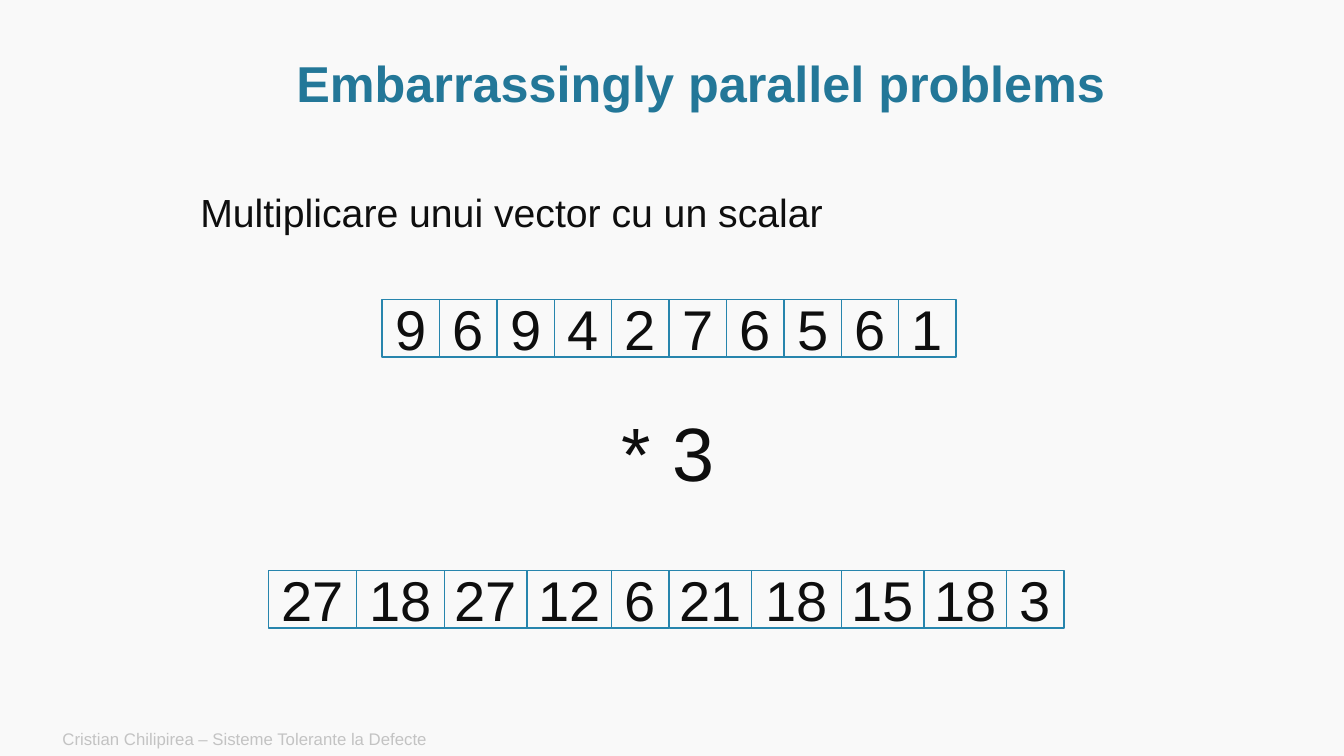
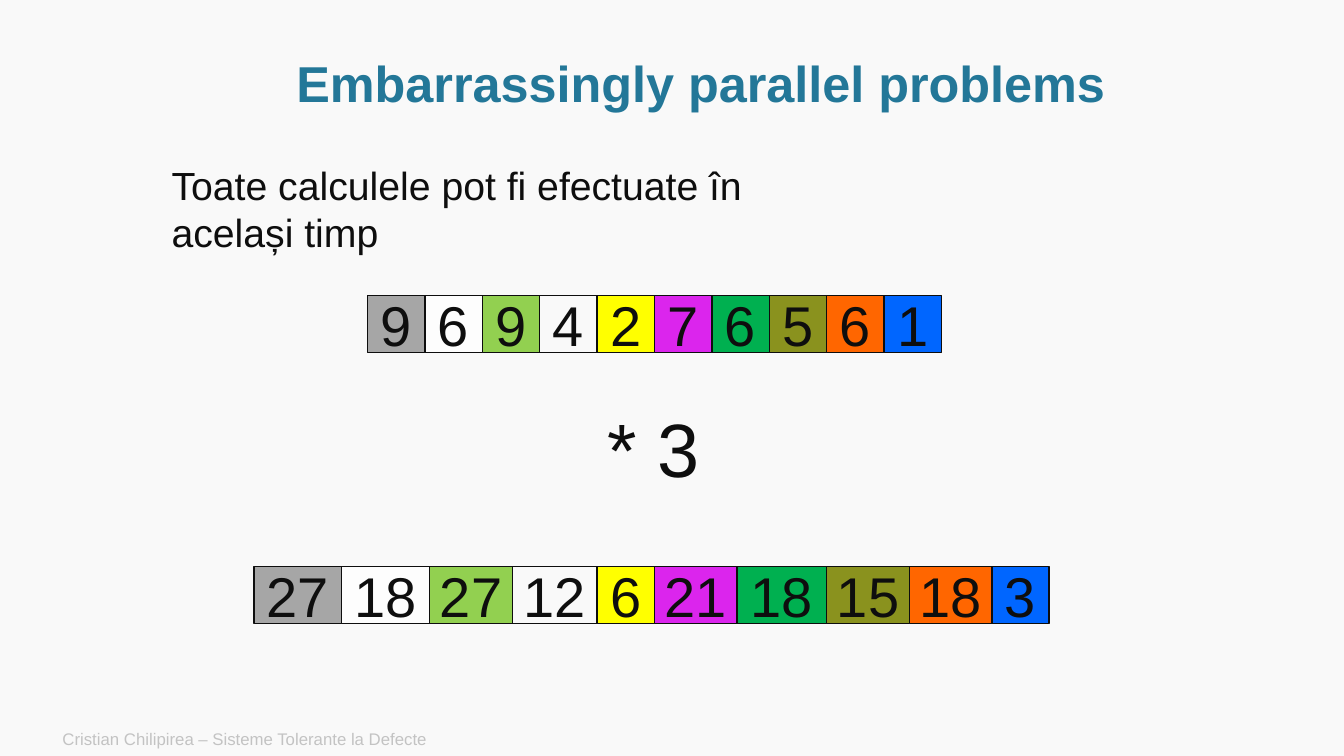
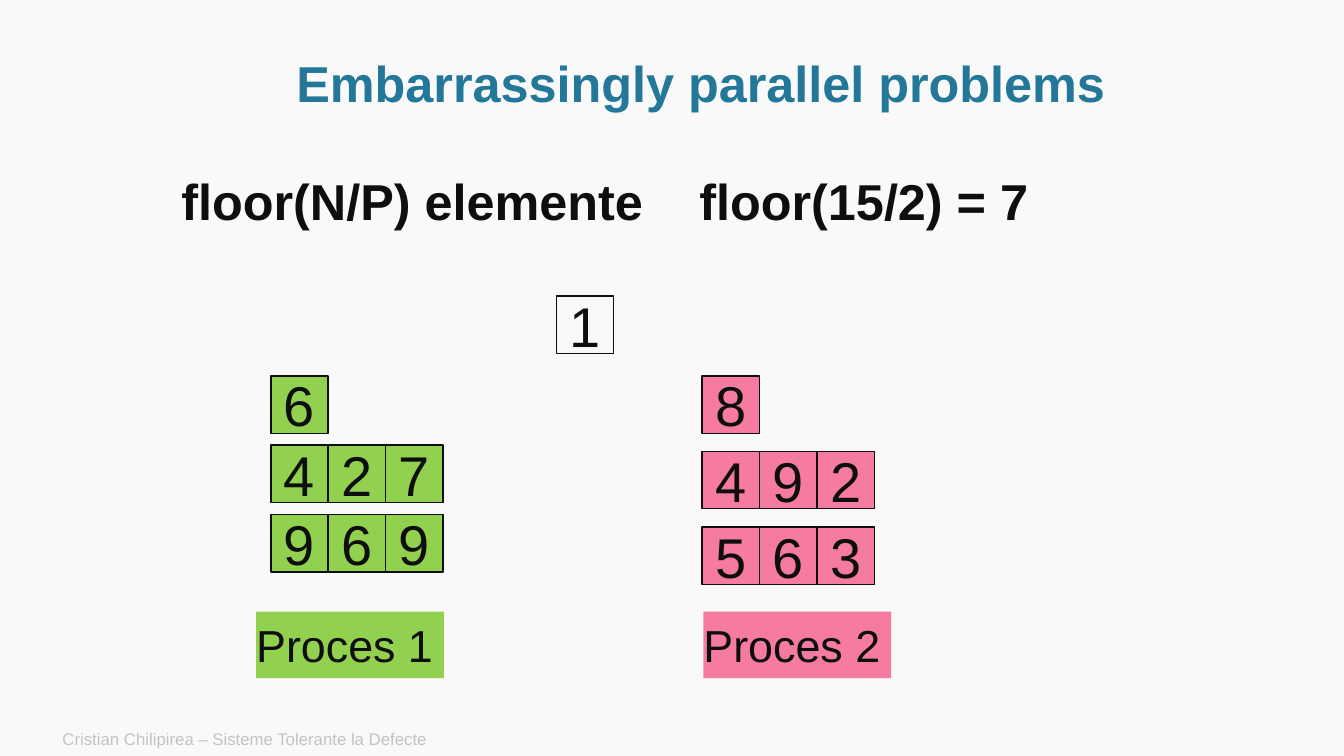
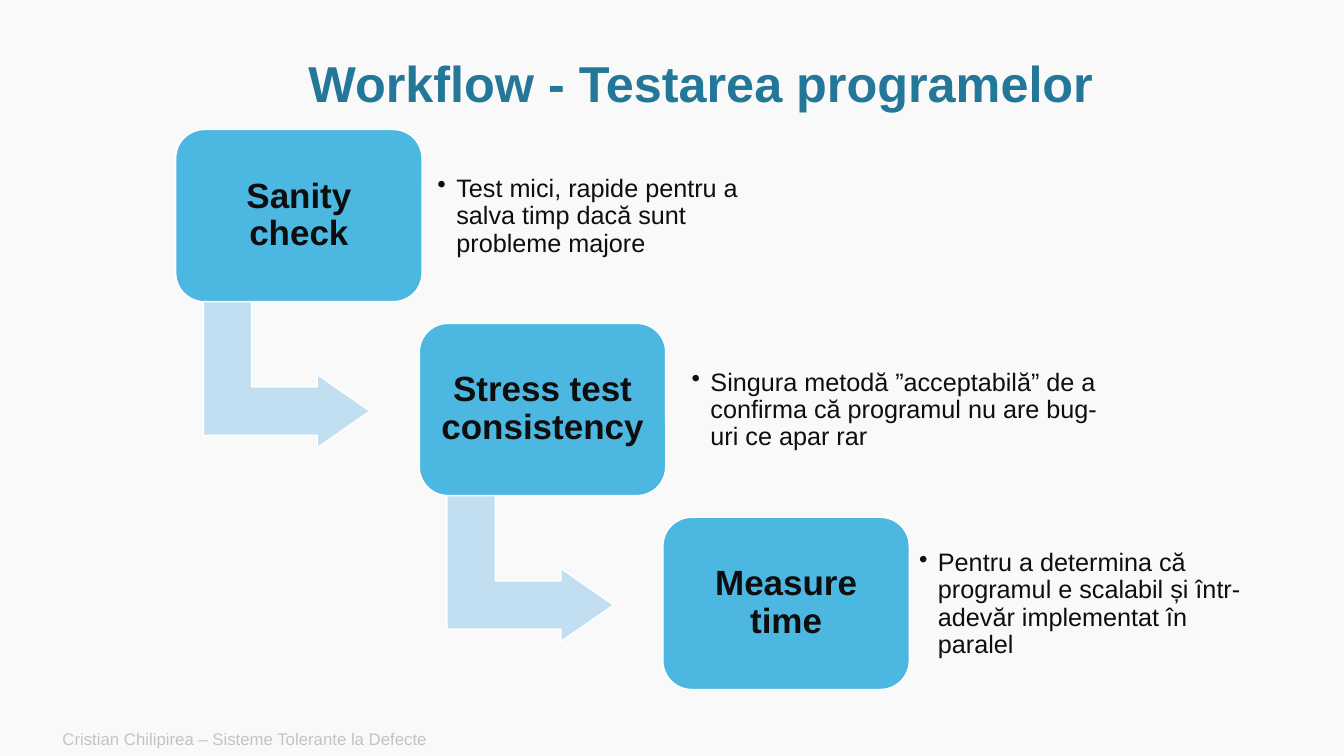
from dataclasses import dataclass

import lxml.etree
import pptx
import pptx.dml.color
import pptx.enum.shapes
import pptx.enum.text
import pptx.oxml.ns
import pptx.util

Pt = pptx.util.Pt
qn = pptx.oxml.ns.qn
SHAPES = pptx.enum.shapes.MSO_SHAPE
ALIGN = pptx.enum.text.PP_ALIGN
ANCHOR = pptx.enum.text.MSO_ANCHOR

CELL = 41
VALUES = [9, 6, 9, 4, 2, 7, 6, 5, 6, 1]
PRODUCT_WIDTHS = [62.5, 63, 59, 60.5, 41, 59, 64, 59, 59, 41]
FACTOR = 3


@dataclass(frozen=True)
class Theme:
    font: str = "Arial"
    background: str = "F9F9F9"
    ink: str = "0E0E0E"
    title: str = "237798"
    footer: str = "C3C3C3"
    outline: str = "2785AD"
    white: str = "FFFFFF"
    card: str = "4CB7E1"
    arrow: str = "C2DFF1"
    green: str = "92D050"
    pink: str = "F57BA1"
    elements: tuple = ("A6A6A6", "FDFDFD", "92D050", None, "FFFF00",
                       "DB25ED", "00B050", "8A921E", "FF6600", "0066FF")
    footer_size: float = 12
    detail_size: float = 18
    card_size: float = 25
    body_size: float = 28
    label_size: float = 32
    title_size: float = 36
    cell_size: float = 40
    factor_size: float = 54


def rgb(color):
    return pptx.dml.color.RGBColor.from_string(color)


class Deck:
    def __init__(self, theme):
        self.theme = theme
        self.deck = pptx.Presentation()
        self.deck.slide_width, self.deck.slide_height = Pt(960), Pt(540)
        fill = self.deck.slide_master.background.fill
        fill.solid()
        fill.fore_color.rgb = rgb(theme.background)
        self.page = None

    def new_page(self, title):
        self.page = self.deck.slides.add_slide(self.deck.slide_layouts[5])
        self.text("Cristian Chilipirea – Sisteme Tolerante la Defecte",
                  37.5, 515.5, 605, 24.5, self.theme.footer_size,
                  color=self.theme.footer, anchor=ANCHOR.MIDDLE)
        box = self.page.shapes.title
        box.left, box.top, box.width, box.height = Pt(82), Pt(36.5), Pt(837.5), Pt(50)
        box.text_frame.auto_size = pptx.enum.text.MSO_AUTO_SIZE.NONE
        self.set_text(box, title, self.theme.title_size, color=self.theme.title,
                      bold=True, align=ALIGN.CENTER, spacing=0.9, anchor=ANCHOR.MIDDLE)

    def set_text(self, box, text, size, color=None, bold=False, align=ALIGN.LEFT,
                 spacing=None, anchor=ANCHOR.TOP, wrap=True, inset=None,
                 bullet=False, tab=None):
        frame = box.text_frame
        frame.text = text
        frame.word_wrap = wrap
        frame.vertical_anchor = anchor
        if inset is not None:
            frame.margin_left = frame.margin_right = Pt(inset)
            frame.margin_top = frame.margin_bottom = Pt(inset)
        para = frame.paragraphs[0]
        para.alignment = align
        if spacing:
            para.line_spacing = spacing
        properties = para._p.get_or_add_pPr()
        if bullet:
            properties.set("marL", str(Pt(13.5)))
            properties.set("indent", str(Pt(-13.5)))
            lxml.etree.SubElement(properties, qn("a:buChar"), char="•")
        if tab:
            stops = lxml.etree.SubElement(properties, qn("a:tabLst"))
            lxml.etree.SubElement(stops, qn("a:tab"), pos=str(Pt(tab)), algn="l")
        for span in para.runs:
            span.font.name = self.theme.font
            span.font.size = Pt(size)
            span.font.bold = bold
            span.font.color.rgb = rgb(color or self.theme.ink)

    def text(self, text, left, top, width, height, size, **style):
        box = self.page.shapes.add_textbox(Pt(left), Pt(top), Pt(width), Pt(height))
        self.set_text(box, text, size, **style)

    def shape(self, kind, left, top, width, height, fill=None, line=None):
        shape = self.page.shapes.add_shape(kind, Pt(left), Pt(top), Pt(width), Pt(height))
        shape.shadow.inherit = False
        for part, color in ((shape.fill, fill), (shape.line.fill, line)):
            if color:
                part.solid()
                part.fore_color.rgb = rgb(color)
            else:
                part.background()
        if line:
            shape.line.width = Pt(1)
        return shape

    def cells(self, values, left, top, widths, fills, line):
        """Draw touching boxes from left to right, one value in each."""
        for value, width, fill in zip(values, widths, fills):
            cell = self.shape(SHAPES.RECTANGLE, left, top, width, CELL, fill, line)
            self.set_text(cell, str(value), self.theme.cell_size, align=ALIGN.CENTER,
                          anchor=ANCHOR.MIDDLE, wrap=False)
            left += width

    def multiplication(self, left, top, fills, line):
        """Draw the vector, the factor and the products below it."""
        self.cells(VALUES, left, top, [CELL] * len(VALUES), fills, line)
        self.text(f"* {FACTOR}", left + 164, top + 72.5, 81.5, 72.5,
                  self.theme.factor_size, wrap=False)
        self.cells([value * FACTOR for value in VALUES], left - 81, top + 193.5,
                   PRODUCT_WIDTHS, fills, line)

    def process(self, name, rows, left, step, label_left, fill):
        """Draw the rows of elements one process handles, with its label."""
        for index, row in enumerate(rows):
            self.cells(row, left, 268.5 + index * step, [CELL] * len(row),
                       [fill] * len(row), self.theme.ink)
        label = self.shape(SHAPES.RECTANGLE, label_left, 437, 134, 47.5, fill)
        self.set_text(label, name, self.theme.label_size, anchor=ANCHOR.MIDDLE, inset=0)

    def step_arrow(self, left, top):
        arrow = self.shape(SHAPES.BENT_UP_ARROW, left, top, 104.5, 119,
                           self.theme.arrow, self.theme.white)
        for index, value in enumerate((0.33, 0.25, 0.36)):
            arrow.adjustments[index] = value
        arrow.rotation = 90

    def step_card(self, name, left, top):
        card = self.shape(SHAPES.ROUNDED_RECTANGLE, left, top, 176, 123,
                          self.theme.card, self.theme.white)
        self.set_text(card, name, self.theme.card_size, bold=True, align=ALIGN.CENTER,
                      spacing=0.9, anchor=ANCHOR.MIDDLE, inset=7)


def main():
    theme = Theme()
    deck = Deck(theme)
    parallel = "Embarrassingly parallel problems"

    deck.new_page(parallel)
    deck.text("Multiplicare unui vector cu un scalar", 136, 131, 465, 41,
              theme.body_size, wrap=False)
    deck.multiplication(273, 214, [None] * len(VALUES), theme.outline)

    deck.new_page(parallel)
    deck.text("Toate calculele pot fi efectuate în același timp", 115.5, 111.5, 499, 75,
              theme.body_size)
    deck.multiplication(262.5, 211, theme.elements, theme.ink)

    deck.new_page(parallel)
    deck.text("floor(N/P) elemente\tfloor(15/2) = 7", 122.5, 118, 679, 51,
              theme.title_size, bold=True, tab=370)
    deck.cells([1], 397.5, 211.5, [CELL], [theme.background], theme.ink)
    deck.process("Proces 1", [[6], [4, 2, 7], [9, 6, 9]], 193.5, 49.5, 183, theme.green)
    deck.process("Proces 2", [[8], [4, 9, 2], [5, 6, 3]], 501.5, 54, 502.5, theme.pink)

    deck.new_page("Workflow - Testarea programelor")
    steps = [
        ("Sanity check", 307.5, 245.5,
         "Test mici, rapide pentru a salva timp dacă sunt probleme majore"),
        ("Stress test consistency", 489, 306,
         "Singura metodă ”acceptabilă” de a confirma că programul nu are bug-uri ce apar rar"),
        ("Measure time", 651.5, 242,
         "Pentru a determina că programul e scalabil și într-adevăr implementat în paralel"),
    ]
    for index, (name, detail_left, detail_width, detail) in enumerate(steps):
        left, top = 125.5 + index * 174, 92.5 + index * 138.5
        if index < len(steps) - 1:
            deck.step_arrow(left + 27, top + 115.5)
        deck.step_card(name, left, top)
        deck.text(detail, detail_left, top + 12.5, detail_width, 99.5, theme.detail_size,
                  spacing=0.9, anchor=ANCHOR.MIDDLE, inset=5, bullet=True)

    deck.deck.save("out.pptx")


if __name__ == "__main__":
    main()
